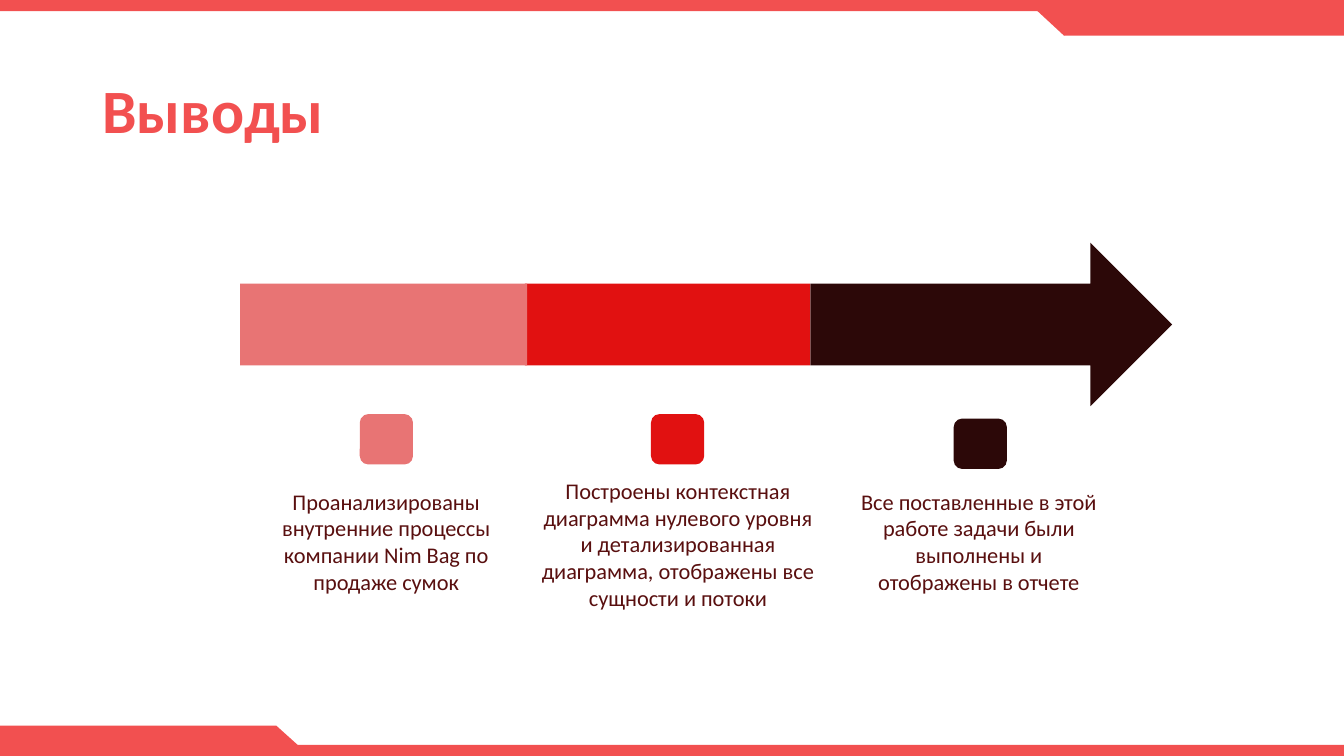
from pptx import Presentation
from pptx.dml.color import RGBColor
from pptx.enum.shapes import MSO_SHAPE
from pptx.enum.text import MSO_ANCHOR, PP_ALIGN
from pptx.util import Pt

CORAL, PINK, RED, DARK, TEXT = "F25050", "E87474", "E11111", "2C0808", "590F0F"

presentation = Presentation()
presentation.slide_width, presentation.slide_height = Pt(960), Pt(540)
slide = presentation.slides.add_slide(presentation.slide_layouts[6])


def add_block(kind, left, top, width, height, color):
    shape = slide.shapes.add_shape(kind, Pt(left), Pt(top), Pt(width), Pt(height))
    shape.shadow.inherit = False
    shape.fill.solid()
    shape.fill.fore_color.rgb = RGBColor.from_string(color)
    shape.line.fill.background()
    return shape


def add_text(text, left, top, width, height, size=16, color=TEXT, bold=False,
             align=PP_ALIGN.CENTER, anchor=MSO_ANCHOR.TOP, spacing=1.0):
    box = slide.shapes.add_textbox(Pt(left), Pt(top), Pt(width), Pt(height))
    frame = box.text_frame
    frame.word_wrap = True
    frame.vertical_anchor = anchor
    paragraph = frame.paragraphs[0]
    paragraph.alignment = align
    paragraph.line_spacing = spacing
    run = paragraph.add_run()
    run.text = text
    run.font.name = "Calibri"
    run.font.size = Pt(size)
    run.font.bold = bold
    run.font.color.rgb = RGBColor.from_string(color)


# Top and bottom bands with slanted tabs
for band_top in (0, 532):
    add_block(MSO_SHAPE.RECTANGLE, 0, band_top, 960, 8, CORAL)
add_block(MSO_SHAPE.RECTANGLE, 760, 3.6, 200, 21.8, CORAL)
add_block(MSO_SHAPE.FLOWCHART_MERGE, 736, 3.2, 48, 22.2, CORAL)
add_block(MSO_SHAPE.RECTANGLE, 0, 518.4, 197.4, 21.6, CORAL)
bottom_slant = add_block(MSO_SHAPE.FLOWCHART_MERGE, 173.4, 518.4, 48, 21.6, CORAL)
bottom_slant.rotation = 180

# Title
add_text("Выводы", 66, 29, 828, 104.4, size=44, color=CORAL, bold=True,
         align=PP_ALIGN.LEFT, anchor=MSO_ANCHOR.MIDDLE, spacing=0.9)

# Three-part arrow
add_block(MSO_SHAPE.RIGHT_ARROW, 578.8, 173.4, 258.4, 116.8, DARK)
add_block(MSO_SHAPE.RECTANGLE, 375, 202.6, 203.8, 58.4, RED)
add_block(MSO_SHAPE.RECTANGLE, 171.6, 202.6, 205, 58.4, PINK)

# Conclusions: marker colour, left, top; text, left, top, width, height
conclusions = [
    (PINK, 257, 295.8, "Проанализированы внутренние процессы компании Nim Bag по продаже сумок",
     181.6, 344.8, 188.6, 85),
    (RED, 465, 295.8, "Построены контекстная диаграмма нулевого уровня и детализированная "
     "диаграмма, отображены все сущности и потоки", 377.8, 337, 213, 104.4),
    (DARK, 681.2, 299, "Все поставленные в этой работе задачи были выполнены и отображены в отчете",
     607, 344.8, 184.4, 85),
]
for color, marker_left, marker_top, text, left, top, width, height in conclusions:
    marker = add_block(MSO_SHAPE.ROUNDED_RECTANGLE, marker_left, marker_top, 38, 36, color)
    marker.adjustments[0] = 0.17
    add_text(text, left, top, width, height)

presentation.save("out.pptx")
